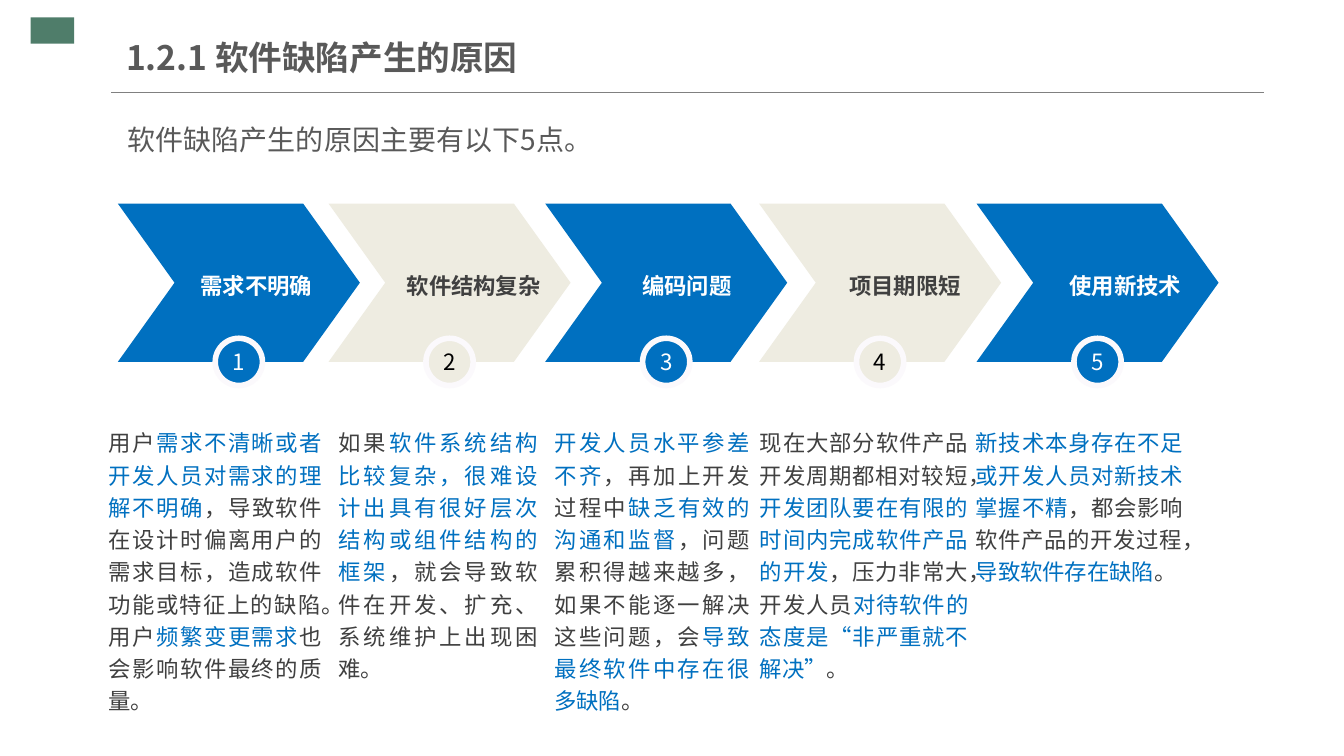
from lxml.etree import SubElement
from pptx import Presentation
from pptx.dml.color import RGBColor
from pptx.enum.shapes import MSO_CONNECTOR, MSO_SHAPE as Preset
from pptx.enum.text import MSO_ANCHOR as Anchor, PP_ALIGN as Align
from pptx.oxml.ns import qn
from pptx.util import Cm, Pt

FONT = "Noto Sans CJK SC"
BLUE = RGBColor(0x00, 0x70, 0xC0)
BEIGE = RGBColor(0xEE, 0xEC, 0xE1)
GREEN = RGBColor(0x4F, 0x7D, 0x6A)
RING = RGBColor(0xFB, 0xF9, 0xFC)
RULE = RGBColor(0x80, 0x80, 0x80)
HEADING = RGBColor(0x59, 0x59, 0x59)
DARK = RGBColor(0x40, 0x40, 0x40)
BLACK = RGBColor(0x00, 0x00, 0x00)
WHITE = RGBColor(0xFF, 0xFF, 0xFF)

# Arrow left, label centre, label, text left, text width (cm);
# then the text as (is key phrase, words).
CAUSES = [
    (2.97, 6.46, "需求不明确", 2.74, 5.38, [
        (False, "用户"),
        (True, "需求不清晰或者开发人员对需求的理解不明确"),
        (False, "，导致软件在设计时偏离用户的需求目标，造成软件功能或特征上的缺陷。用户"),
        (True, "频繁变更需求"),
        (False, "也会影响软件最终的质量。")]),
    (8.28, 11.94, "软件结构复杂", 8.53, 5.03, [
        (False, "如果"),
        (True, "软件系统结构比较复杂，很难设计出具有很好层次结构或组件结构的框架"),
        (False, "，就会导致软件在开发、扩充、系统维护上出现困难。")]),
    (13.74, 17.31, "编码问题", 13.97, 4.93, [
        (True, "开发人员水平参差不齐"),
        (False, "，再加上开发过程中"),
        (True, "缺乏有效的沟通和监督"),
        (False, "，问题累积得越来越多，如果不能逐一解决这些问题，会"),
        (True, "导致最终软件中存在很多缺陷"),
        (False, "。")]),
    (19.13, 22.81, "项目期限短", 19.15, 5.26, [
        (False, "现在大部分软件产品开发周期都相对较短，"),
        (True, "开发团队要在有限的时间内完成软件产品的开发"),
        (False, "，压力非常大，开发人员"),
        (True, "对待软件的态度是“非严重就不解决”"),
        (False, "。")]),
    (24.61, 28.36, "使用新技术", 24.59, 5.23, [
        (True, "新技术本身存在不足或开发人员对新技术掌握不精"),
        (False, "，都会影响软件产品的开发过程，"),
        (True, "导致软件存在缺陷"),
        (False, "。")]),
]
ARROW_TOP, ARROW_WIDTH, ARROW_HEIGHT, NOTCH = 5.13, 6.1, 3.99, 1.43
LABEL_WIDTH, BADGE = 4.1, 1.19


def write(shape, text, size, color, bold=False, align=Align.LEFT, anchor=Anchor.MIDDLE):
    """Fill a shape with one styled paragraph without insets and return the paragraph."""
    frame = shape.text_frame
    frame.word_wrap = True
    frame.vertical_anchor = anchor
    frame.margin_left = frame.margin_right = frame.margin_top = frame.margin_bottom = 0
    para = frame.paragraphs[0]
    para.text = text
    para.alignment = align
    font = para.font
    font.name, font.size, font.bold = FONT, Pt(size), bold
    font.color.rgb = color
    SubElement(font._element, qn("a:ea"), typeface=FONT)
    return para


def add_filled(preset, left, top, width, height, color):
    shape = page.shapes.add_shape(preset, Cm(left), Cm(top), Cm(width), Cm(height))
    shape.shadow.inherit = False
    shape.fill.solid()
    shape.fill.fore_color.rgb = color
    shape.line.fill.background()
    return shape


deck = Presentation()
deck.slide_width, deck.slide_height = Cm(33.87), Cm(19.05)
page = deck.slides.add_slide(deck.slide_layouts[6])

# Heading
add_filled(Preset.RECTANGLE, 0.77, 0.44, 1.1, 0.66, GREEN)
rule = page.shapes.add_connector(MSO_CONNECTOR.STRAIGHT, Cm(2.8), Cm(2.32), Cm(31.86), Cm(2.32))
rule.line.color.rgb = RULE
rule.line.width = Pt(0.75)
SubElement(rule._element.spPr, qn("a:effectLst"))
title = page.shapes.add_textbox(Cm(3.18), Cm(0.74), Cm(12), Cm(1.4))
write(title, "1.2.1 软件缺陷产生的原因", 24, HEADING, bold=True)
intro = page.shapes.add_textbox(Cm(3.22), Cm(2.67), Cm(27.4), Cm(1.6))
para = write(intro, "软件缺陷产生的原因主要有以下5点。", 20, HEADING,
             align=Align.JUSTIFY, anchor=Anchor.TOP)
para.line_spacing = 1.5

# Arrows with their labels, numbers and explanations
for number, (left, centre, label, text_left, text_width, phrases) in enumerate(CAUSES, 1):
    if number % 2:
        color, label_color, number_color = BLUE, WHITE, WHITE
    else:
        color, label_color, number_color = BEIGE, DARK, BLACK

    arrow = add_filled(Preset.CHEVRON, left, ARROW_TOP, ARROW_WIDTH, ARROW_HEIGHT, color)
    arrow.adjustments[0] = NOTCH / ARROW_HEIGHT
    box = page.shapes.add_textbox(Cm(centre - LABEL_WIDTH / 2), Cm(6.9),
                                  Cm(LABEL_WIDTH), Cm(0.6))
    write(box, label, 16, label_color, bold=True, align=Align.CENTER)

    badge = add_filled(Preset.OVAL, left + (ARROW_WIDTH - BADGE) / 2,
                       ARROW_TOP + ARROW_HEIGHT - BADGE / 2, BADGE, BADGE, color)
    badge.line.color.rgb = RING
    badge.line.width = Pt(4)
    write(badge, str(number), 16, number_color, align=Align.CENTER)
    badge.text_frame.word_wrap = False

    box = page.shapes.add_textbox(Cm(text_left), Cm(10.69), Cm(text_width), Cm(7.4))
    para = write(box, "", 16, DARK, align=Align.JUSTIFY, anchor=Anchor.TOP)
    para.line_spacing = 1.2
    for is_key, words in phrases:
        span = para.add_run()
        span.text = words
        span.font.color.rgb = BLUE if is_key else DARK

deck.save("out.pptx")
